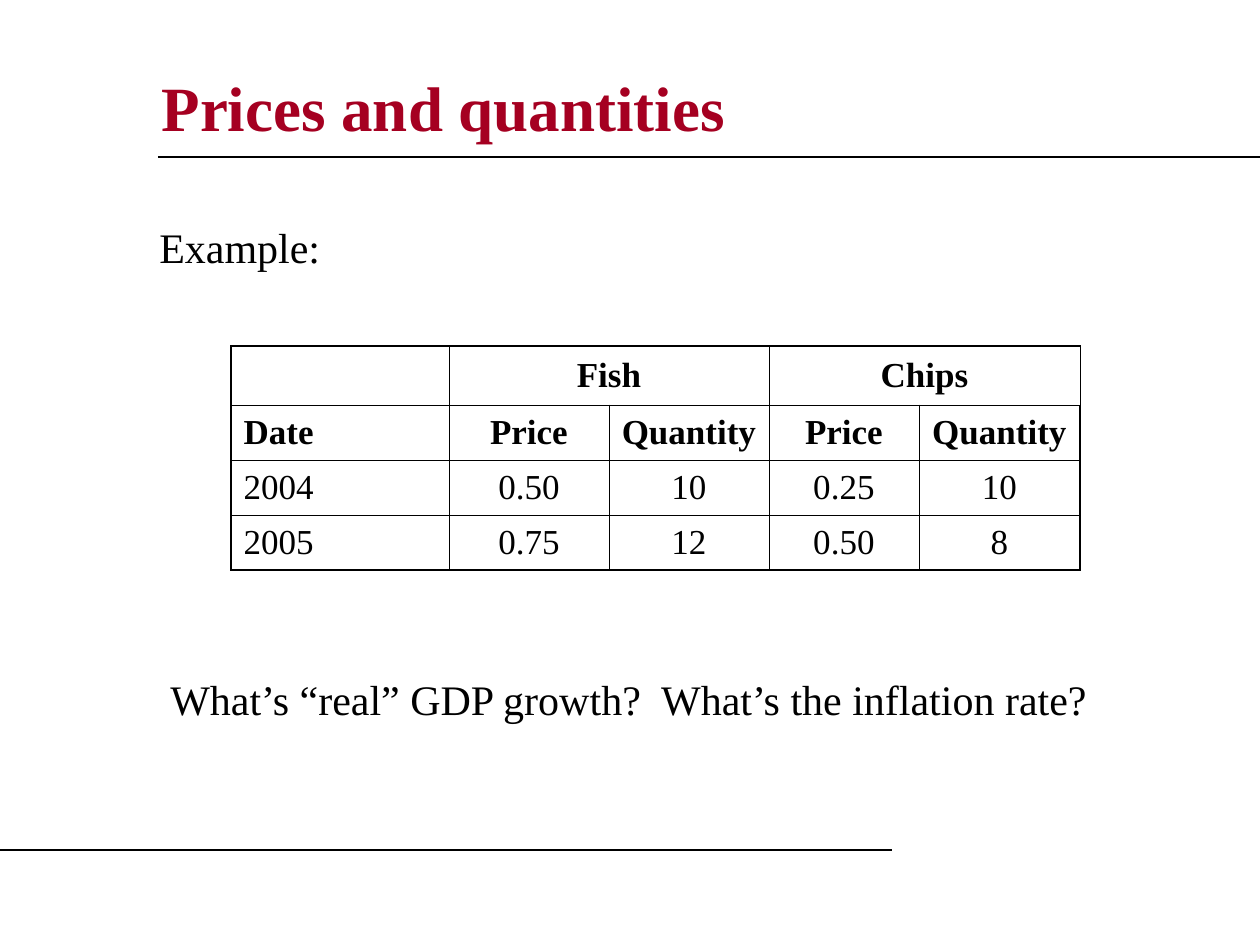
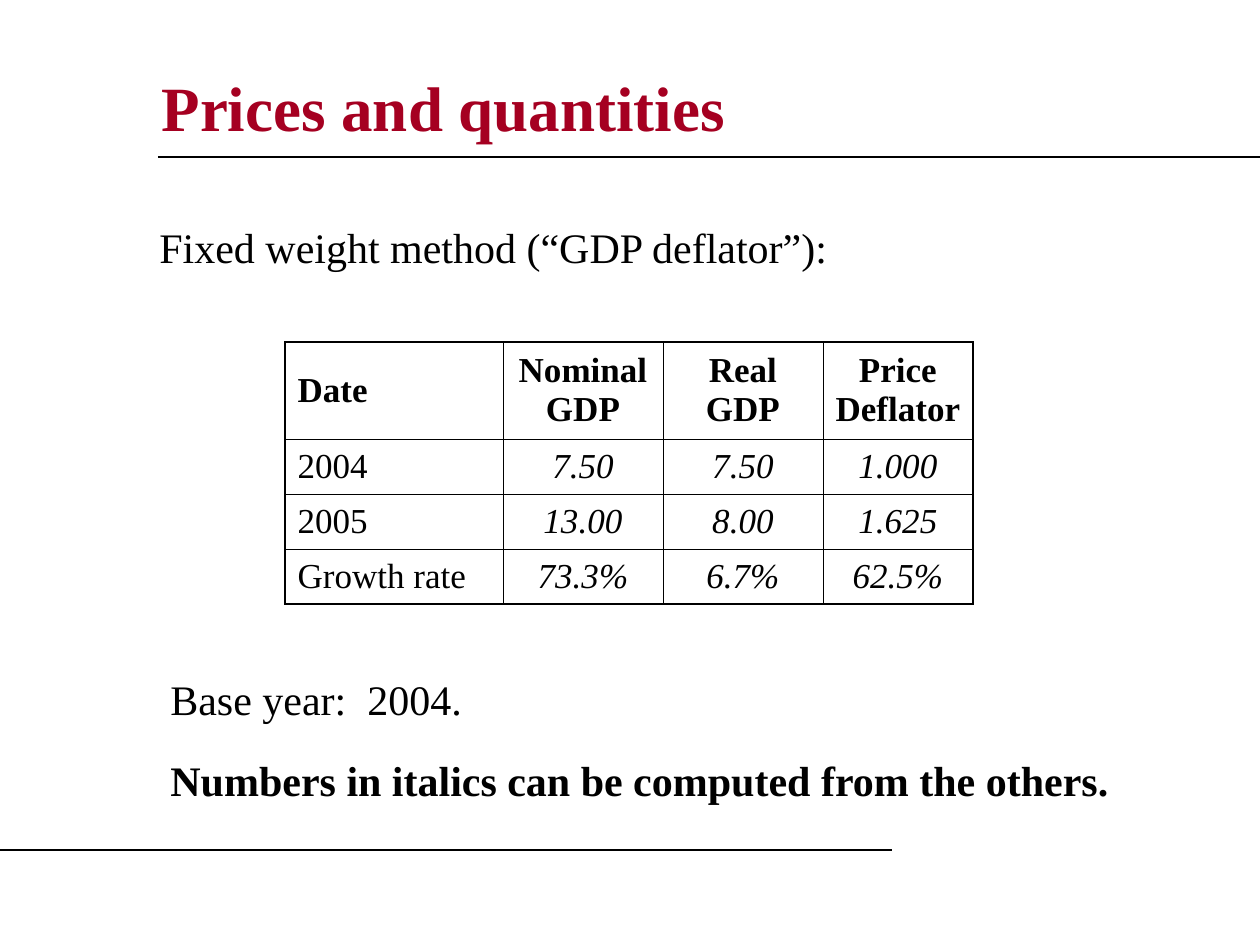
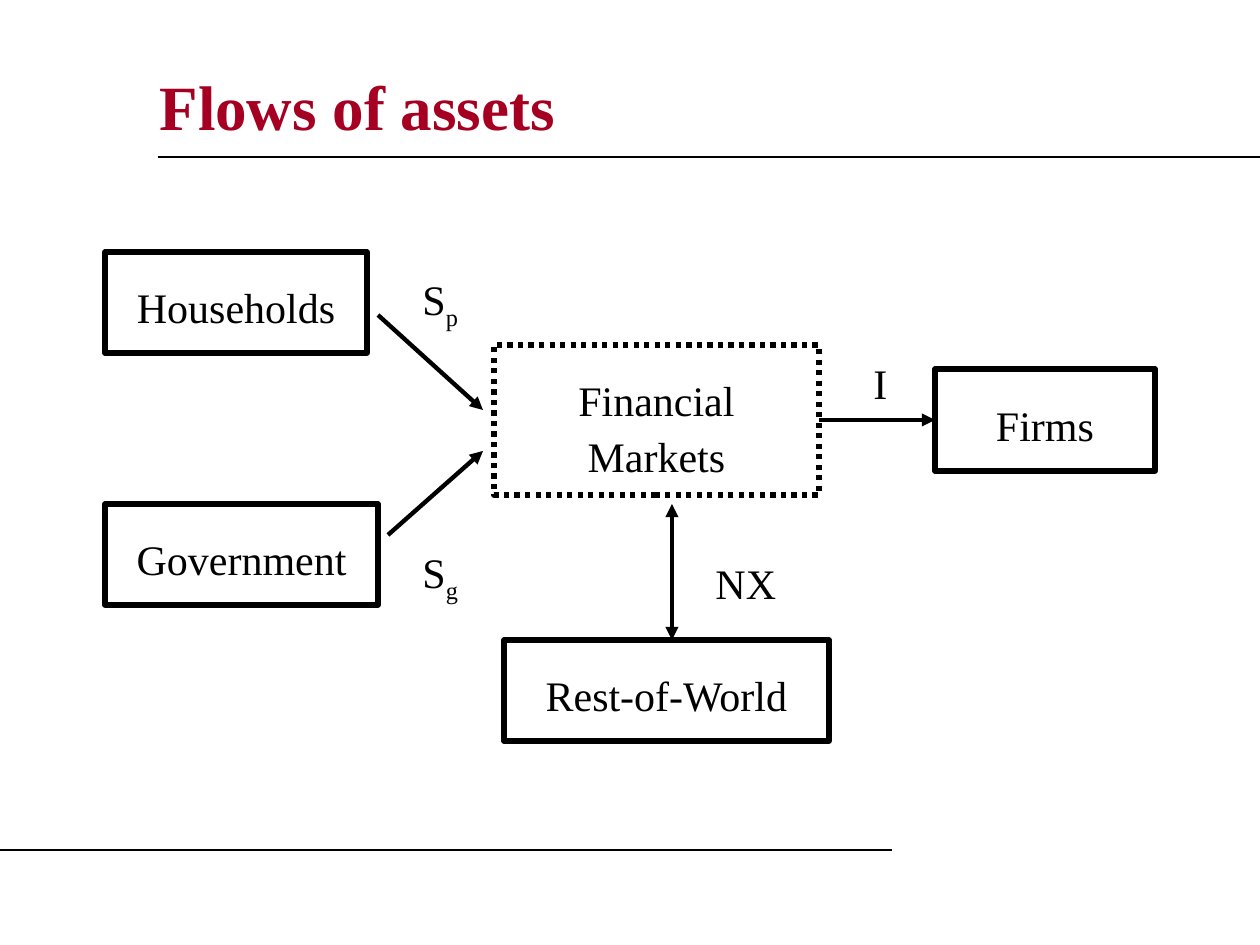
from dataclasses import dataclass

from lxml import etree
from pptx import Presentation
from pptx.dml.color import RGBColor
from pptx.enum.dml import MSO_LINE
from pptx.enum.shapes import MSO_CONNECTOR, MSO_SHAPE
from pptx.enum.text import MSO_ANCHOR, PP_ALIGN
from pptx.oxml.ns import qn
from pptx.util import Emu, Pt

LEFT, CENTER = PP_ALIGN.LEFT, PP_ALIGN.CENTER
TOP, MIDDLE = MSO_ANCHOR.TOP, MSO_ANCHOR.MIDDLE
STRAIGHT = MSO_CONNECTOR.STRAIGHT
RECTANGLE = MSO_SHAPE.RECTANGLE
DOTTED = MSO_LINE.ROUND_DOT
SCALE = 914400 / 126


@dataclass(frozen=True)
class Theme:
    font: str = "Times New Roman"
    ink: RGBColor = RGBColor(0x00, 0x00, 0x00)
    accent: RGBColor = RGBColor(0xA5, 0x00, 0x21)
    title_size: int = 36
    body_size: int = 24
    table_size: int = 20
    rule_width: float = 0.75
    box_width: float = 3
    arrow_width: float = 2.5
    outer_border: float = 1.08
    inner_border: float = 0.45


THEME = Theme()
BODY = {"name": THEME.font, "size": Pt(THEME.body_size)}
CELL = {"name": THEME.font, "size": Pt(THEME.table_size)}
TITLE = {"name": THEME.font, "size": Pt(THEME.title_size), "bold": True}


def write_text(frame, paragraphs, style, color=THEME.ink, alignment=LEFT, spacing=1.0):
    for index, (text, subscript, extra) in enumerate(paragraphs):
        paragraph = frame.paragraphs[0] if index == 0 else frame.add_paragraph()
        paragraph.alignment = alignment
        paragraph.line_spacing = spacing
        paragraph.space_before = Pt(15 if index else 0)
        for part in filter(None, (text, subscript)):
            run = paragraph.add_run()
            run.text = part
            run.font.color.rgb = color
            for name, value in {**style, **extra}.items():
                setattr(run.font, name, value)
            if part == subscript:
                run.font._element.set("baseline", "-25000")


def add_line(slide, points, width, heads=()):
    line = slide.shapes.add_connector(STRAIGHT, *[Emu(round(value * SCALE)) for value in points])
    line.line.color.rgb = THEME.ink
    line.line.width = Pt(width)
    for head in heads:
        etree.SubElement(line.line._get_or_add_ln(), qn(f"a:{head}"), type="triangle")
    etree.SubElement(line._element.spPr, qn("a:effectLst"))
    return line


presentation = Presentation()
presentation.slide_width = Emu(round(1260 * SCALE))
presentation.slide_height = Emu(round(945 * SCALE))

slides = []
for heading, box in (
    ("Prices and quantities", (149, 59, 1018, 95)),
    ("Prices and quantities", (149, 59, 1018, 95)),
    ("Flows of assets", (147, 53, 1018, 105)),
):
    slide = presentation.slides.add_slide(presentation.slide_layouts[5])
    title = slide.shapes.title
    title.left, title.top, title.width, title.height = [Emu(round(value * SCALE)) for value in box]
    title.text_frame.vertical_anchor = MIDDLE
    write_text(title.text_frame, [(heading, "", {})], TITLE, THEME.accent)
    add_line(slide, (158, 157, 1260, 157), THEME.rule_width)
    add_line(slide, (0, 850, 892, 850), THEME.rule_width)
    slides.append(slide)
example_slide, deflator_slide, flows_slide = slides

tables = (
    (example_slide, (231, 346), (218, 160, 160, 150, 161), (59, 55, 55, 55), 2, {}, (
        ("", "Fish", "", "Chips", ""),
        ("Date", "Price", "Quantity", "Price", "Quantity"),
        ("2004", "0.50", "10", "0.25", "10"),
        ("2005", "0.75", "12", "0.50", "8"),
    )),
    (deflator_slide, (285, 342), (218, 160, 160, 150), (97, 55, 55, 55), 1, {"italic": True}, (
        ("Date", "Nominal GDP", "Real GDP", "Price Deflator"),
        ("2004", "7.50", "7.50", "1.000"),
        ("2005", "13.00", "8.00", "1.625"),
        ("Growth rate", "73.3%", "6.7%", "62.5%"),
    )),
)
for slide, origin, widths, heights, header_rows, value_style, rows in tables:
    bounds = (*origin, sum(widths), sum(heights))
    table = slide.shapes.add_table(
        len(rows), len(widths), *[Emu(round(value * SCALE)) for value in bounds]
    ).table
    table.first_row = table.horz_banding = False
    for column, width in zip(table.columns, widths):
        column.width = Emu(round(width * SCALE))
    for row, height in zip(table.rows, heights):
        row.height = Emu(round(height * SCALE))
    for row_index, row in enumerate(rows):
        for column_index, text in enumerate(row):
            cell = table.cell(row_index, column_index)
            cell.vertical_anchor = MIDDLE
            extra = {"bold": True} if row_index < header_rows else value_style if column_index else {}
            write_text(cell.text_frame, [(text, "", extra)], CELL,
                       alignment=CENTER if column_index else LEFT)
            edges = {
                "lnL": column_index == 0,
                "lnR": column_index == len(widths) - 1,
                "lnT": row_index == 0,
                "lnB": row_index == len(rows) - 1,
            }
            properties = cell._tc.get_or_add_tcPr()
            for edge, is_outer in edges.items():
                width = THEME.outer_border if is_outer else THEME.inner_border
                border = etree.SubElement(properties, qn(f"a:{edge}"), w=str(Pt(width)))
                fill = etree.SubElement(border, qn("a:solidFill"))
                etree.SubElement(fill, qn("a:srgbClr"), val=str(THEME.ink))
            cell.fill.background()
    if header_rows == 2:
        for first in (1, 3):
            table.cell(0, first).merge(table.cell(0, first + 1))

nodes = {}
for name, box, dash in (
    ("Households", (105, 252, 262, 101), None),
    ("Rest-of-World", (504, 640, 325, 101), None),
    ("Financial Markets", (494, 345, 325, 150), DOTTED),
    ("Firms", (935, 369, 220, 102), None),
    ("Government", (105, 504, 273, 101), None),
):
    node = flows_slide.shapes.add_shape(RECTANGLE, *[Emu(round(value * SCALE)) for value in box])
    node.shadow.inherit = False
    node.fill.background()
    node.line.color.rgb = THEME.ink
    node.line.width = Pt(THEME.box_width)
    if dash:
        node.line.dash_style = dash
    frame = node.text_frame
    frame.word_wrap = True
    frame.vertical_anchor = TOP
    for side in ("left", "top", "right", "bottom"):
        setattr(frame, f"margin_{side}", Emu(round(25 * SCALE)))
    write_text(frame, [(name, "", {})], BODY, alignment=CENTER, spacing=1.1)
    nodes[name] = node

add_line(flows_slide, (483, 451, 388, 535), THEME.arrow_width, ["headEnd"])
add_line(flows_slide, (483, 410, 378, 315), THEME.arrow_width, ["headEnd"])
add_line(flows_slide, (672, 504, 672, 640), THEME.arrow_width, ["headEnd", "tailEnd"])
investment = add_line(flows_slide, (819, 420, 935, 420), THEME.arrow_width, ["tailEnd"])
investment.begin_connect(nodes["Financial Markets"], 3)
investment.end_connect(nodes["Firms"], 1)

for slide, box, paragraphs in (
    (example_slide, (147, 210, 514, 63), [("Example:", "", {})]),
    (example_slide, (158, 662, 1018, 63),
     [("What’s “real” GDP growth?  What’s the inflation rate?", "", {})]),
    (deflator_slide, (147, 210, 703, 63), [("Fixed weight method (“GDP deflator”):", "", {})]),
    (deflator_slide, (158, 662, 987, 140), [
        ("Base year:  2004.", "", {}),
        ("Numbers in italics can be computed from the others.", "", {"bold": True}),
    ]),
    (flows_slide, (703, 546, 95, 63), [("NX", "", {})]),
    (flows_slide, (861, 346, 53, 63), [("I", "", {})]),
    (flows_slide, (410, 262, 84, 71), [("S", "p", {})]),
    (flows_slide, (410, 535, 84, 71), [("S", "g", {})]),
):
    label = slide.shapes.add_textbox(*[Emu(round(value * SCALE)) for value in box])
    label.text_frame.word_wrap = True
    write_text(label.text_frame, paragraphs, BODY, spacing=1.1)

presentation.save("out.pptx")
